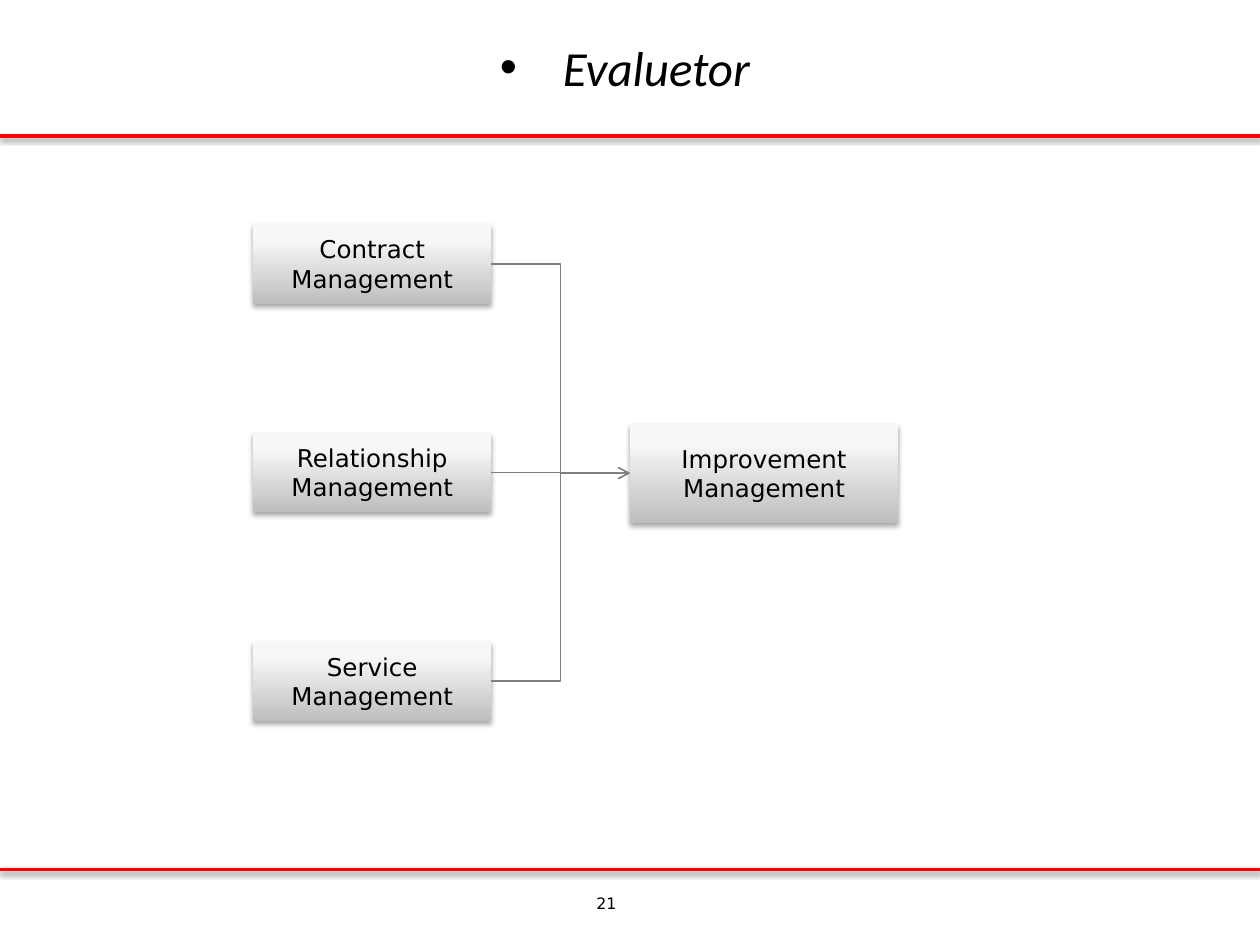
from pptx import Presentation
from pptx.util import Inches, Pt
from pptx.dml.color import RGBColor
from pptx.enum.shapes import MSO_CONNECTOR as Link, MSO_SHAPE as Shape
from pptx.enum.text import MSO_ANCHOR as Anchor, MSO_AUTO_SIZE as Fit, PP_ALIGN as Align
from pptx.oxml import parse_xml
from pptx.oxml.ns import nsdecls

HUES = {"text": "000000", "rule": "FF0000", "link": "808080",
        "dark": "BEBEBE", "pale": "F7F7F7", "light": "F8F8F8"}
RIGHT, LEFT = 3, 1  # connection sites of a rectangle


def xml(tag, body="", attrs=""):
    return parse_xml(f"<a:{tag} {nsdecls('a')} {attrs}>{body}</a:{tag}>")


def shade(dist, alpha):
    """Effect list with a soft shadow that falls straight down."""
    return xml("effectLst", f'<a:outerShdw blurRad="{Pt(3.1)}" dist="{Pt(dist)}" '
               f'dir="5400000" rotWithShape="0"><a:srgbClr val="{HUES["text"]}">'
               f'<a:alpha val="{alpha * 1000}"/></a:srgbClr></a:outerShdw>')


def write(frame, text, size=14, font="DejaVu Sans", hue="text", italic=False,
          align=Align.CENTER, anchor=Anchor.MIDDLE, bullet=None):
    frame.word_wrap = True
    frame.auto_size = Fit.NONE
    frame.vertical_anchor = anchor
    for i, line in enumerate(text.split("\n")):
        para = frame.add_paragraph() if i else frame.paragraphs[0]
        para.alignment = align
        if bullet:
            props = para._p.get_or_add_pPr()
            props.set("marL", str(Inches(0.43)))
            props.set("indent", str(Inches(-0.5)))
            props.append(xml("buFont", attrs='typeface="Arial"'))
            props.append(xml("buChar", attrs=f'char="{bullet}"'))
        run = para.add_run()
        run.text = line
        run.font.size = Pt(size)
        run.font.name = font
        run.font.italic = italic
        run.font.color.rgb = RGBColor.from_string(HUES[hue])


def stroke(line, hue, width):
    line.color.rgb = RGBColor.from_string(HUES[hue])
    line.width = Pt(width)


def rule(slide, y):
    line = slide.shapes.add_connector(Link.STRAIGHT, 0, Inches(y), Inches(10), Inches(y))
    stroke(line.line, "rule", 2)
    line._element.spPr.append(shade(1.6, 38))


def head(slide, x, y, w, h):
    title = slide.shapes.title
    title.left, title.top, title.width, title.height = map(Inches, (x, y, w, h))
    frame = title.text_frame
    frame.margin_left, frame.margin_right = Inches(0.16), Inches(0.1)
    frame.margin_top = frame.margin_bottom = Inches(0.05)
    write(frame, "Evaluetor", size=28, font="Calibri", italic=True, bullet="•")


def page(slide, x, y, w, h):
    box = slide.shapes.add_textbox(*map(Inches, (x, y, w, h)))
    write(box.text_frame, "21", size=9, align=Align.RIGHT, anchor=Anchor.TOP)


def card(slide, text, x, y, w, h):
    box = slide.shapes.add_shape(Shape.RECTANGLE, *map(Inches, (x, y, w, h)))
    stops = ((0, "dark"), (80, "pale"), (100, "light"))
    marks = "".join(f'<a:gs pos="{at * 1000}"><a:srgbClr val="{HUES[hue]}"/></a:gs>'
                    for at, hue in stops)
    props = box._element.spPr
    props.append(xml("gradFill", f'<a:gsLst>{marks}</a:gsLst>'
                     '<a:lin ang="16200000" scaled="0"/>', 'rotWithShape="1"'))
    box.line.fill.background()
    props.append(shade(1.8, 35))
    write(box.text_frame, text)
    return box


def stack(slide, names, x, y, w, h, tall=0.63):
    """Cards spread evenly from the top to the bottom of the region."""
    step = (h - tall) / (len(names) - 1)
    return [card(slide, f"{name}\nManagement", x, y + i * step, w, tall)
            for i, name in enumerate(names)]


def join(slide, start, end):
    line = slide.shapes.add_connector(Link.ELBOW, 0, 0, 0, 0)
    line.begin_connect(start, RIGHT)
    line.end_connect(end, LEFT)
    stroke(line.line, "link", 0.75)
    line.line._get_or_add_ln().append(xml("tailEnd", attrs='type="arrow"'))
    line._element.spPr.append(xml("effectLst"))


def main():
    deck = Presentation()
    deck.slide_width, deck.slide_height = Inches(10), Inches(7.5)
    slide = deck.slides.add_slide(deck.slide_layouts[5])

    # Frame of the page
    for y in (1.08, 6.9):
        rule(slide, y)
    page(slide, 4.5, 7.04, 0.49, 0.49)
    head(slide, 0.35, 0.1, 9.23, 0.86)

    # Three sources that feed one goal
    parts = stack(slide, ("Contract", "Relationship", "Service"), 2.01, 1.78, 1.89, 3.94)
    goal = card(slide, "Improvement\nManagement", 5, 3.36, 2.13, 0.79)
    for part in parts:
        join(slide, part, goal)

    deck.save("out.pptx")


if __name__ == "__main__":
    main()
